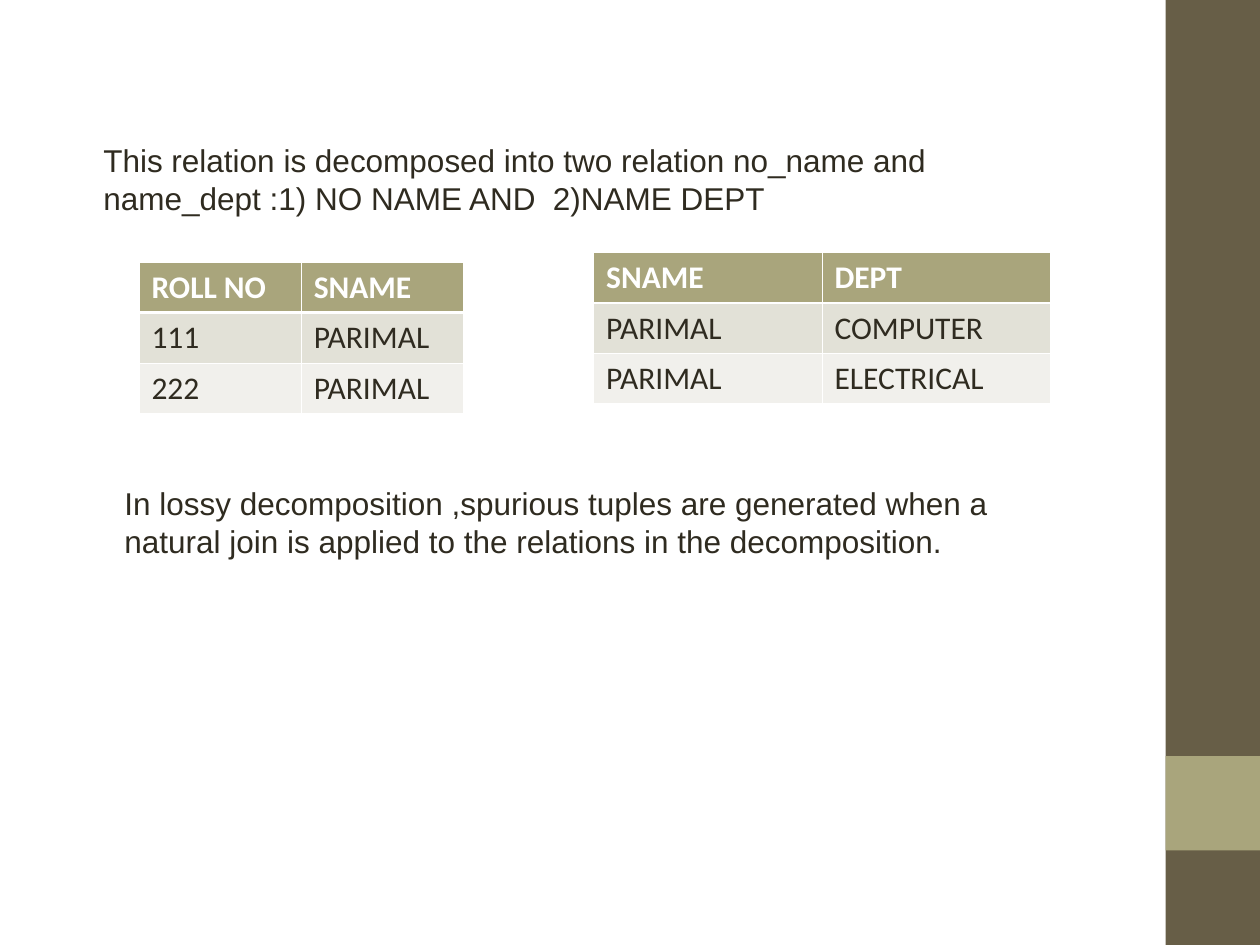
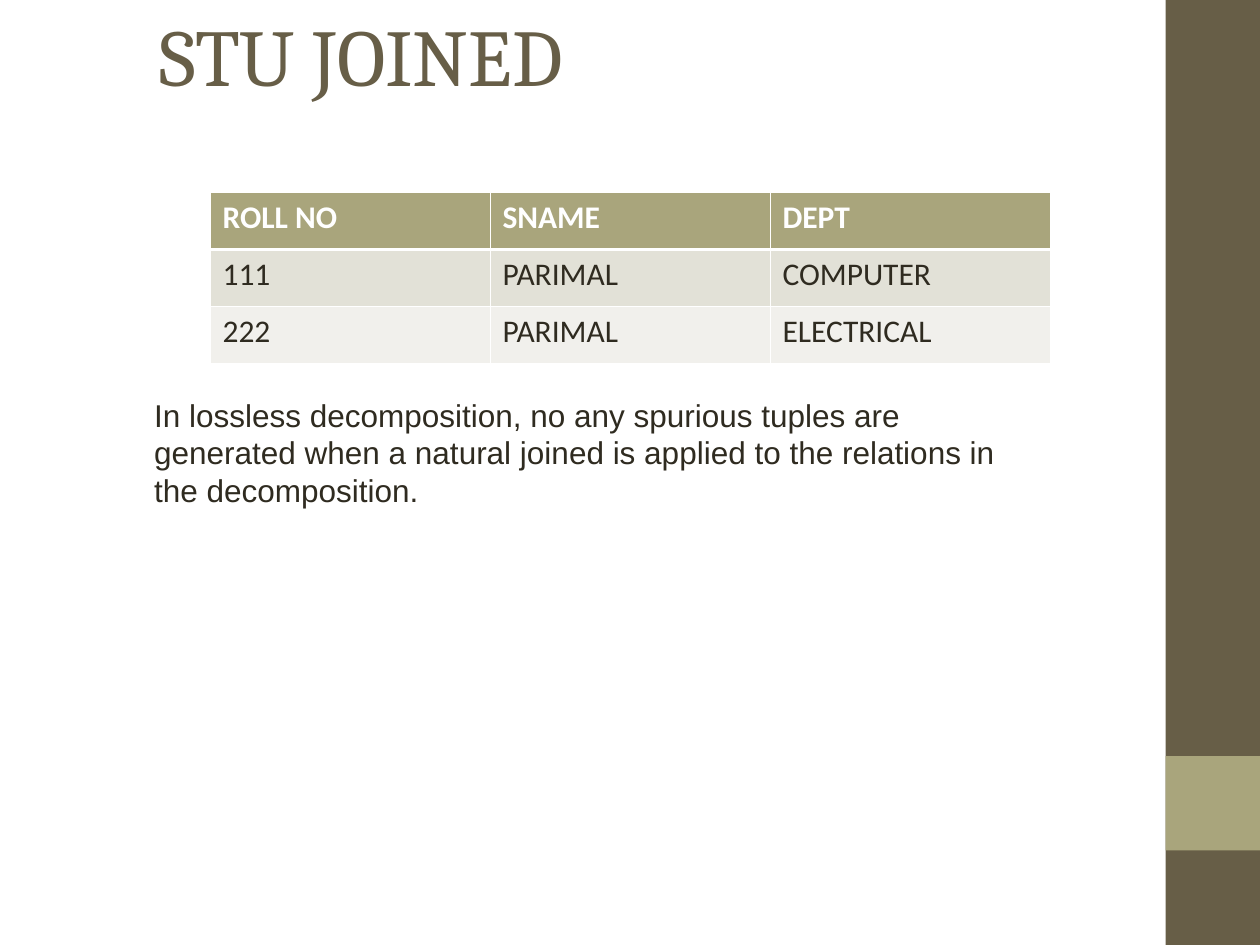
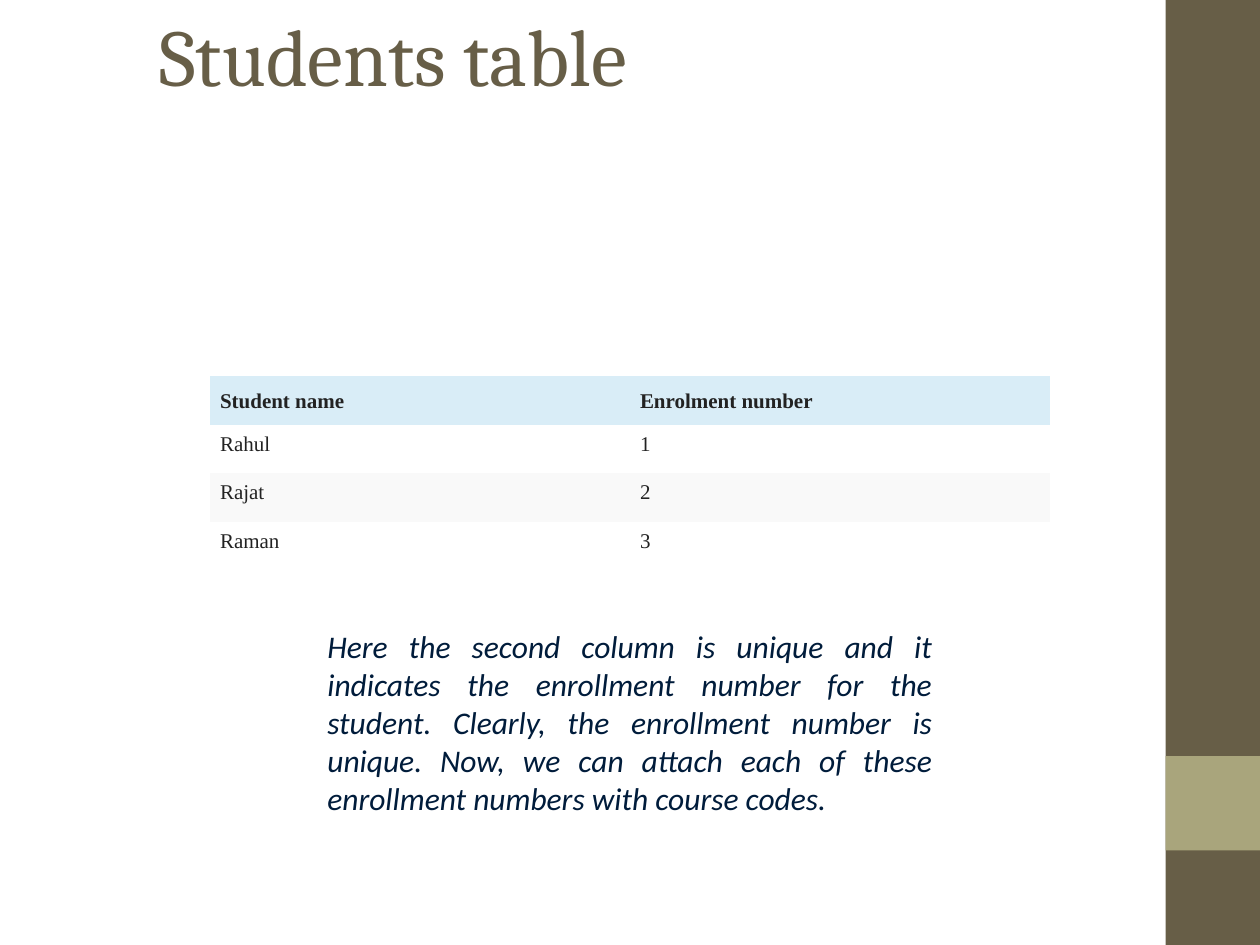
"""Build three slides on lossy and lossless decomposition of student relations."""
import lxml.etree
import pptx
import pptx.dml.color
import pptx.enum.shapes
import pptx.enum.text
import pptx.oxml.ns
import pptx.util

Pt = pptx.util.Pt
RGBColor = pptx.dml.color.RGBColor
ALIGN = pptx.enum.text.PP_ALIGN
ANCHOR = pptx.enum.text.MSO_ANCHOR

OLIVE = RGBColor(0x67, 0x5E, 0x47)
SAGE = RGBColor(0xA9, 0xA5, 0x7C)
SAGE_LIGHT = RGBColor(0xE2, 0xE1, 0xD7)
SAGE_PALE = RGBColor(0xF1, 0xF0, 0xEC)
INK = RGBColor(0x2F, 0x2B, 0x20)
NAVY = RGBColor(0x00, 0x1C, 0x3B)
CHARCOAL = RGBColor(0x22, 0x22, 0x22)
SKY = RGBColor(0xD9, 0xED, 0xF7)
SMOKE = RGBColor(0xF9, 0xF9, 0xF9)
WHITE = RGBColor(0xFF, 0xFF, 0xFF)

THIN, THICK = 0.45, 1.47
RELATION_STYLE = dict(
    font="Calibri", size=18, head_ink=WHITE, ink=INK, head_fill=SAGE,
    stripes=(SAGE_LIGHT, SAGE_PALE), ruled=True, margin=7.2,
    spacing=1.0, head_anchor=ANCHOR.TOP)
STUDENT_STYLE = dict(
    font="Times New Roman", size=12, head_ink=CHARCOAL, ink=CHARCOAL,
    head_fill=SKY, stripes=(WHITE, SMOKE), ruled=False, margin=5.76,
    spacing=1.07, head_anchor=ANCHOR.MIDDLE)


class Deck:
    """Holds the presentation style and the current slide."""

    def __init__(self):
        self.presentation = pptx.Presentation()
        self.presentation.slide_width = Pt(720)
        self.presentation.slide_height = Pt(540)
        self.slide = None

    def start_slide(self, title=None):
        """Add a slide with its side bands and, if given, its title."""
        layout = self.presentation.slide_layouts.get_by_name(
            "Title Only" if title else "Blank")
        self.slide = self.presentation.slides.add_slide(layout)
        self.band(0, 540, OLIVE)
        self.band(432, 54, SAGE)
        if title:
            self.title(title)

    def band(self, top, height, color):
        """Add one block of the right-hand side band."""
        block = self.slide.shapes.add_shape(
            pptx.enum.shapes.MSO_SHAPE.RECTANGLE,
            Pt(666), Pt(top), Pt(54), Pt(height))
        block.shadow.inherit = False
        block.fill.solid()
        block.fill.fore_color.rgb = color
        block.line.fill.background()

    def title(self, text):
        """Place and format the title placeholder."""
        heading = self.slide.shapes.title
        heading.left, heading.top = Pt(84), Pt(0)
        heading.width, heading.height = Pt(636), Pt(62)
        frame = heading.text_frame
        frame.auto_size = pptx.enum.text.MSO_AUTO_SIZE.NONE
        frame.vertical_anchor = ANCHOR.MIDDLE
        self.words(frame, text, "Cambria", 46, OLIVE)

    def words(self, frame, text, font, size, color, bold=False, italic=False,
              align=ALIGN.LEFT, spacing=1.0):
        """Fill the first paragraph of a frame with one formatted run."""
        paragraph = frame.paragraphs[0]
        paragraph.alignment = align
        paragraph.line_spacing = spacing
        run = paragraph.add_run()
        run.text = text
        run.font.name = font
        run.font.size = Pt(size)
        run.font.color.rgb = color
        run.font.bold = bold
        run.font.italic = italic

    def note(self, left, top, width, height, text, font="Arial", color=INK,
             **style):
        """Add a wrapped text box of body text."""
        frame = self.slide.shapes.add_textbox(
            Pt(left), Pt(top), Pt(width), Pt(height)).text_frame
        frame.word_wrap = True
        self.words(frame, text, font, 18, color, **style)

    def table(self, left, top, column_width, row_height, records, style):
        """Add a table whose first record is the header."""
        column_count, row_count = len(records[0]), len(records)
        grid = self.slide.shapes.add_table(
            row_count, column_count, Pt(left), Pt(top),
            Pt(column_width * column_count), Pt(row_height * row_count)).table
        grid.first_row = grid.horz_banding = False
        for column in grid.columns:
            column.width = Pt(column_width)
        for row_index, record in enumerate(records):
            grid.rows[row_index].height = Pt(row_height)
            for column_index, value in enumerate(record):
                self.cell(grid.cell(row_index, column_index), value,
                          row_index, style)

    def cell(self, cell, value, row_index, style):
        """Rule, fill and letter one table cell."""
        header = row_index == 0
        self.rule(cell, row_index, style["ruled"])
        cell.fill.solid()
        cell.fill.fore_color.rgb = (
            style["head_fill"] if header
            else style["stripes"][(row_index - 1) % 2])
        cell.margin_left = cell.margin_right = Pt(style["margin"])
        cell.margin_top = cell.margin_bottom = Pt(3.6)
        cell.vertical_anchor = style["head_anchor"] if header else ANCHOR.TOP
        self.words(cell.text_frame, value, style["font"], style["size"],
                   style["head_ink"] if header else style["ink"],
                   bold=header, spacing=style["spacing"])

    def rule(self, cell, row_index, ruled):
        """Set cell borders, with a thick white rule under the header."""
        qn = pptx.oxml.ns.qn
        properties = cell._tc.get_or_add_tcPr()
        widths = {"L": THIN, "R": THIN,
                  "T": THICK if row_index == 1 else THIN,
                  "B": THICK if row_index == 0 else THIN}
        for side, width in widths.items():
            edge = lxml.etree.SubElement(
                properties, qn("a:ln" + side), w=str(int(Pt(width))))
            if ruled:
                paint = lxml.etree.SubElement(edge, qn("a:solidFill"))
                lxml.etree.SubElement(paint, qn("a:srgbClr"), val=str(WHITE))
            else:
                lxml.etree.SubElement(edge, qn("a:noFill"))


def main():
    """Build and save the deck."""
    deck = Deck()

    deck.start_slide()
    deck.note(52, 77, 488, 72,
              "This relation is decomposed into two relation no_name and "
              "name_dept :1) NO NAME AND  2)NAME DEPT")
    deck.table(79.4, 149.8, 92.7, 28.8,
               [("ROLL NO", "SNAME"), ("111", "PARIMAL"), ("222", "PARIMAL")],
               RELATION_STYLE)
    deck.table(339.2, 144.2, 130.5, 28.8,
               [("SNAME", "DEPT"), ("PARIMAL", "COMPUTER"),
                ("PARIMAL", "ELECTRICAL")],
               RELATION_STYLE)
    deck.note(64, 273, 524, 50,
              "In lossy decomposition ,spurious tuples are generated when a "
              "natural join is applied to the relations in the decomposition.")

    deck.start_slide("STU JOINED")
    deck.table(120, 110, 160, 32.5,
               [("ROLL NO", "SNAME", "DEPT"), ("111", "PARIMAL", "COMPUTER"),
                ("222", "PARIMAL", "ELECTRICAL")],
               RELATION_STYLE)
    deck.note(81, 222.5, 517, 72,
              "In lossless decomposition, no any spurious tuples are generated "
              "when a natural joined is applied to the relations in the "
              "decomposition.")

    deck.start_slide("Students table")
    deck.table(120, 215, 240, 27.75,
               [("Student name", "Enrolment number"), ("Rahul", "1"),
                ("Rajat", "2"), ("Raman", "3")],
               STUDENT_STYLE)
    deck.note(180, 355, 360, 115,
              "Here the second column is unique and it indicates the enrollment "
              "number for the student. Clearly, the enrollment number is unique. "
              "Now, we can attach each of these enrollment numbers with course "
              "codes.",
              font="Calibri", color=NAVY, italic=True, align=ALIGN.JUSTIFY)

    deck.presentation.save("out.pptx")


if __name__ == "__main__":
    main()
